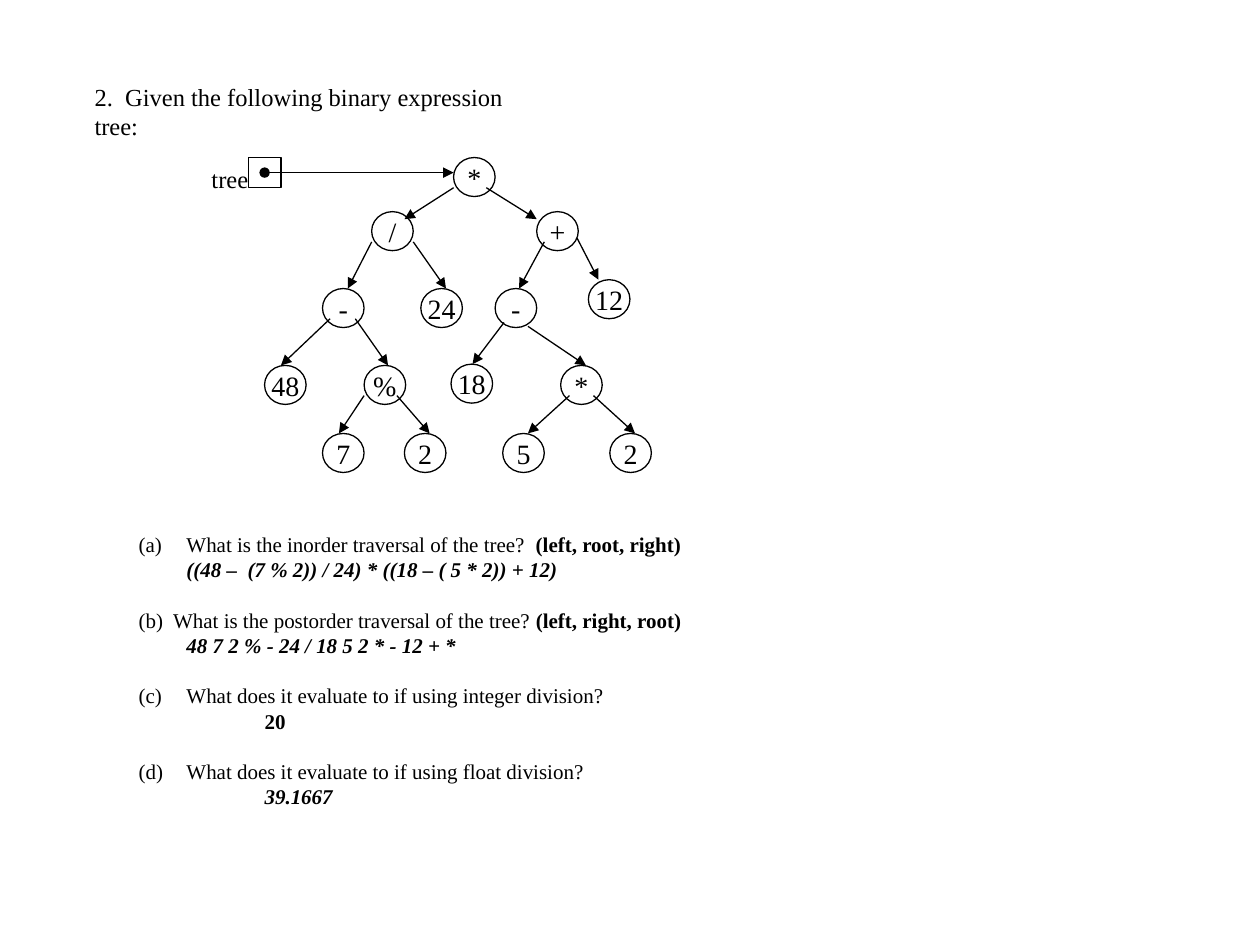
from lxml import etree
from pptx import Presentation
from pptx.dml.color import RGBColor
from pptx.enum.shapes import MSO_CONNECTOR, MSO_SHAPE
from pptx.enum.text import MSO_ANCHOR, MSO_AUTO_SIZE, PP_ALIGN
from pptx.oxml.ns import qn
from pptx.util import Inches, Pt

OVAL, RECTANGLE = MSO_SHAPE.OVAL, MSO_SHAPE.RECTANGLE
STRAIGHT = MSO_CONNECTOR.STRAIGHT
TOP, MIDDLE = MSO_ANCHOR.TOP, MSO_ANCHOR.MIDDLE
LEFT, CENTER = PP_ALIGN.LEFT, PP_ALIGN.CENTER
NO_AUTOFIT = MSO_AUTO_SIZE.NONE

FONT = "Times New Roman"
INK = "000000"
LINE_FACTOR = 1.2
NODE_SIZE = (0.33, 0.31)
LIST_INDENT = 0.38
QUESTION_SIZE = 12

TITLE = "2.  Given the following binary expression tree:"

# label, left, top, then start and end of the arrow that leads to the node
NODES = [
    ("*", 3.6, 1.25, (2.1, 1.37), (3.6, 1.37)),
    ("/", 2.95, 1.68, (3.6, 1.49), (3.21, 1.74)),
    ("+", 4.26, 1.68, (3.86, 1.49), (4.26, 1.74)),
    ("-", 2.56, 2.29, (2.95, 1.92), (2.76, 2.29)),
    ("24", 3.34, 2.29, (3.28, 1.92), (3.54, 2.29)),
    ("-", 3.93, 2.29, (4.32, 1.92), (4.12, 2.29)),
    ("12", 4.67, 2.22, (4.58, 1.89), (4.75, 2.22)),
    ("48", 2.1, 2.9, (2.62, 2.53), (2.23, 2.9)),
    ("%", 2.89, 2.9, (2.82, 2.53), (3.08, 2.9)),
    ("18", 3.58, 2.89, (4, 2.56), (3.75, 2.89)),
    ("*", 4.45, 2.9, (4.19, 2.59), (4.65, 2.9)),
    ("7", 2.56, 3.44, (2.89, 3.14), (2.69, 3.44)),
    ("2", 3.21, 3.44, (3.15, 3.14), (3.41, 3.44)),
    ("5", 3.99, 3.44, (4.52, 3.14), (4.19, 3.44)),
    ("2", 4.84, 3.44, (4.71, 3.14), (5.04, 3.44)),
]

# automatic number (None where it is typed), question, hint,
# answer, answer indent, answer in italics
QUESTIONS = [
    (1, "What is the inorder traversal of the tree?  ", "(left, root, right)",
     "((48 –  (7 % 2)) / 24) * ((18 – ( 5 * 2)) + 12)", LIST_INDENT, True),
    (None, "(b)  What is the postorder traversal of the tree? ",
     "(left, right, root)",
     "48 7 2 % - 24 / 18 5 2 * - 12 + *", LIST_INDENT, True),
    (3, "What does it evaluate to if using integer division?", "",
     "20", 1, False),
    (4, "What does it evaluate to if using float division?", "",
     "39.1667", 1, True),
]


def color(hex_text):
    return RGBColor.from_string(hex_text)


def place(shape, left, top, width, height):
    shape.left, shape.top = Inches(left), Inches(top)
    shape.width, shape.height = Inches(width), Inches(height)


def add_run(paragraph, text, size, bold=False, italic=False):
    run = paragraph.add_run()
    run.text = text
    font = run.font
    font.name, font.size, font.bold, font.italic = FONT, Pt(size), bold, italic
    font.color.rgb = color(INK)


def set_spacing(paragraph, size, before=0):
    paragraph.line_spacing = Pt(size * LINE_FACTOR)
    paragraph.space_before = Pt(before)


def set_list_format(paragraph, margin, hanging=0, number=None):
    """Set the indents, and number as (a), (b)... or show no bullet."""
    properties = paragraph._p.get_or_add_pPr()
    properties.set("marL", str(Inches(margin)))
    properties.set("indent", str(-Inches(hanging)))
    if number is None:
        etree.SubElement(properties, qn("a:buNone"))
    else:
        etree.SubElement(properties, qn("a:buFont"), typeface=FONT)
        etree.SubElement(properties, qn("a:buAutoNum"),
                         type="alphaLcParenBoth", startAt=str(number))


def prepare_frame(shape, anchor, wrap):
    frame = shape.text_frame
    frame.auto_size = NO_AUTOFIT
    frame.word_wrap = wrap
    frame.vertical_anchor = anchor
    return frame


def add_outline(slide, kind, left, top, width, height):
    shape = slide.shapes.add_shape(kind, Inches(left), Inches(top),
                                   Inches(width), Inches(height))
    shape.shadow.inherit = False
    shape.fill.background()
    shape.line.color.rgb = color(INK)
    shape.line.width = Pt(0.75)
    return shape


def add_node(slide, label, left, top):
    node = add_outline(slide, OVAL, left, top, *NODE_SIZE)
    frame = prepare_frame(node, MIDDLE, False)
    frame.margin_left = frame.margin_right = 0
    frame.margin_top = frame.margin_bottom = 0
    paragraph = frame.paragraphs[0]
    paragraph.alignment = CENTER
    add_run(paragraph, label, 16)


def add_arrow(slide, start, end, from_pointer):
    arrow = slide.shapes.add_connector(
        STRAIGHT, *(Inches(value) for value in start + end))
    arrow.line.color.rgb = color(INK)
    arrow.line.width = Pt(0.75)
    line = arrow.line._get_or_add_ln()
    if from_pointer:
        etree.SubElement(line, qn("a:headEnd"), type="oval")
    etree.SubElement(line, qn("a:tailEnd"), type="triangle")
    etree.SubElement(arrow._element.spPr, qn("a:effectLst"))


def add_title(slide):
    title = slide.shapes.title
    place(title, 0.65, 0.6, 3.83, 0.55)
    paragraph = prepare_frame(title, TOP, True).paragraphs[0]
    paragraph.alignment = LEFT
    set_spacing(paragraph, 14)
    add_run(paragraph, TITLE, 14)


def add_tree(slide):
    for index, (label, left, top, start, end) in enumerate(NODES):
        add_node(slide, label, left, top)
        add_arrow(slide, start, end, from_pointer=index == 0)
    add_outline(slide, RECTANGLE, 1.97, 1.25, 0.26, 0.24)
    label_box = slide.shapes.add_textbox(
        Inches(1.58), Inches(1.25), Inches(0.49), Inches(0.33))
    paragraph = prepare_frame(label_box, TOP, False).paragraphs[0]
    set_spacing(paragraph, 14)
    add_run(paragraph, "tree", 14)


def add_questions(slide):
    body = slide.placeholders[1]
    place(body, 1, 4.17, 4.56, 2.93)
    frame = prepare_frame(body, TOP, True)
    paragraph = frame.paragraphs[0]
    for index, (number, question, hint, answer, indent, italic) in enumerate(QUESTIONS):
        if index:
            paragraph = frame.add_paragraph()
        gap = QUESTION_SIZE * LINE_FACTOR if index else 0
        set_spacing(paragraph, QUESTION_SIZE, gap)
        set_list_format(paragraph, LIST_INDENT, LIST_INDENT, number)
        add_run(paragraph, question, QUESTION_SIZE)
        if hint:
            add_run(paragraph, hint, QUESTION_SIZE, bold=True)
        reply = frame.add_paragraph()
        set_spacing(reply, QUESTION_SIZE)
        set_list_format(reply, indent)
        add_run(reply, answer, QUESTION_SIZE, bold=True, italic=italic)


def main():
    presentation = Presentation()
    presentation.slide_width = Inches(10)
    presentation.slide_height = Inches(7.5)
    slide = presentation.slides.add_slide(presentation.slide_layouts[1])
    add_title(slide)
    add_questions(slide)
    add_tree(slide)
    presentation.save("out.pptx")


if __name__ == "__main__":
    main()
